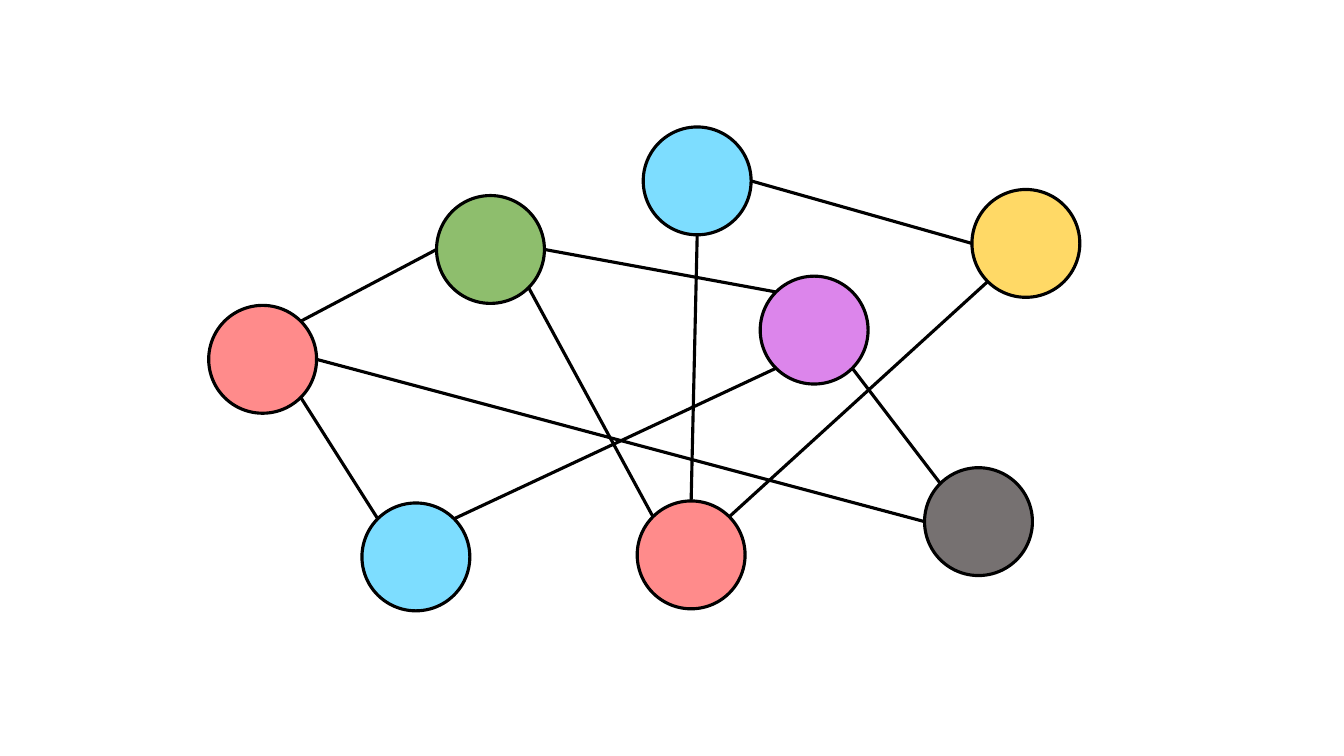
from math import cos, radians, sin

from lxml import etree
from pptx import Presentation
from pptx.dml.color import RGBColor
from pptx.enum.shapes import MSO_CONNECTOR, MSO_SHAPE
from pptx.oxml.ns import qn
from pptx.util import Inches, Pt

BLACK = RGBColor(0x00, 0x00, 0x00)
GREEN = RGBColor(0x70, 0xAD, 0x47)
RED = RGBColor(0xFF, 0x6D, 0x6D)
BLUE = RGBColor(0x5B, 0xD4, 0xFF)
PURPLE = RGBColor(0xDC, 0x85, 0xEB)
YELLOW = RGBColor(0xFF, 0xD9, 0x66)
GRAY = RGBColor(0x76, 0x71, 0x71)

DIAMETER = 1.07
LINE_WIDTH = Pt(2.25)

# name: (left, top, fill, opacity in percent)
NODES = {
    "green": (4.33, 1.94, GREEN, 79),
    "left red": (2.07, 3.03, RED, 79),
    "top blue": (6.38, 1.26, BLUE, 79),
    "purple": (7.54, 2.74, PURPLE, 100),
    "yellow": (9.64, 1.88, YELLOW, 100),
    "bottom blue": (3.59, 4.99, BLUE, 79),
    "bottom red": (6.32, 4.97, RED, 79),
    "gray": (9.17, 4.64, GRAY, 100),
}

# Angles on a circle, clockwise from its right side
RIGHT, LOWER_RIGHT, BOTTOM, LOWER_LEFT = 0, 45, 90, 135
LEFT, UPPER_LEFT, TOP, UPPER_RIGHT = 180, 225, 270, 315

EDGES = [
    ("left red", UPPER_RIGHT, "green", LEFT),
    ("bottom blue", UPPER_LEFT, "left red", LOWER_RIGHT),
    ("gray", UPPER_LEFT, "purple", LOWER_RIGHT),
    ("bottom blue", UPPER_RIGHT, "purple", LOWER_LEFT),
    ("purple", UPPER_LEFT, "green", RIGHT),
    ("bottom red", UPPER_LEFT, "green", LOWER_RIGHT),
    ("top blue", RIGHT, "yellow", LEFT),
    ("top blue", BOTTOM, "bottom red", TOP),
    ("yellow", LOWER_LEFT, "bottom red", UPPER_RIGHT),
    ("gray", LEFT, "left red", RIGHT),
]


def rim_point(name, angle):
    """Return the point on a node's outline at the given angle."""
    left, top = NODES[name][:2]
    radius = DIAMETER / 2
    return (Inches(left + radius * (1 + cos(radians(angle)))),
            Inches(top + radius * (1 + sin(radians(angle)))))


def style_line(line):
    line.color.rgb = BLACK
    line.width = LINE_WIDTH


def add_edge(shapes, start, start_angle, end, end_angle):
    connector = shapes.add_connector(
        MSO_CONNECTOR.STRAIGHT,
        *rim_point(start, start_angle), *rim_point(end, end_angle))
    style_line(connector.line)
    etree.SubElement(connector._element.spPr, qn("a:effectLst"))


def add_node(shapes, left, top, color, opacity):
    circle = shapes.add_shape(MSO_SHAPE.OVAL, Inches(left), Inches(top),
                              Inches(DIAMETER), Inches(DIAMETER))
    circle.shadow.inherit = False
    circle.fill.solid()
    circle.fill.fore_color.rgb = color
    if opacity < 100:
        rgb = circle._element.spPr.find(qn("a:solidFill")).find(qn("a:srgbClr"))
        etree.SubElement(rgb, qn("a:alpha"), val=str(opacity * 1000))
    style_line(circle.line)


def main():
    presentation = Presentation()
    presentation.slide_width = Inches(13.33)
    presentation.slide_height = Inches(7.5)
    slide = presentation.slides.add_slide(presentation.slide_layouts[6])
    graph = slide.shapes.add_group_shape()
    for edge in EDGES:
        add_edge(graph.shapes, *edge)
    for node in NODES.values():
        add_node(graph.shapes, *node)
    presentation.save("out.pptx")


if __name__ == "__main__":
    main()
